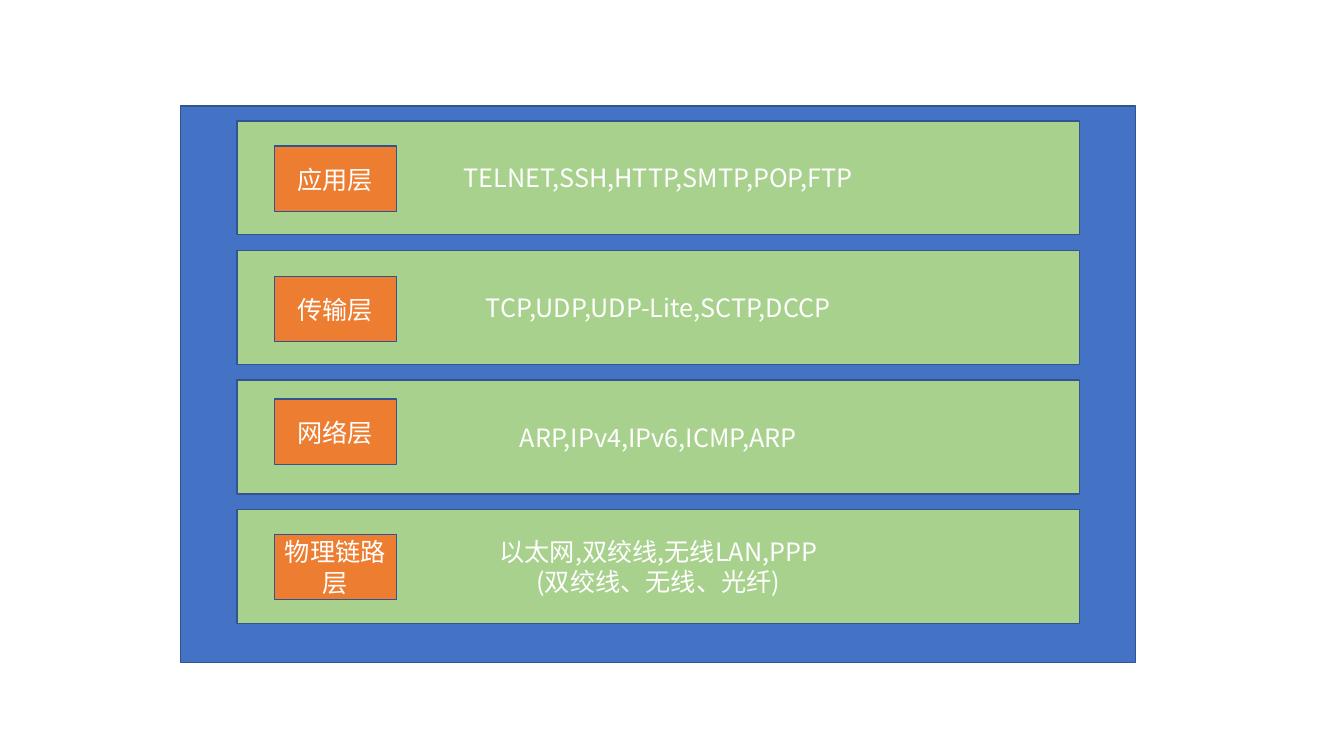
from pptx import Presentation
from pptx.dml.color import RGBColor
from pptx.enum.shapes import MSO_SHAPE as Shape
from pptx.enum.text import MSO_ANCHOR as Anchor, PP_ALIGN as Align
from pptx.oxml.ns import qn
from pptx.util import Inches, Pt
from lxml.etree import SubElement

FONT = "Noto Sans CJK SC"


def color(value):
    return RGBColor.from_string(value)


def add_box(left, top, width, height, fill, lines=()):
    box = slide.shapes.add_shape(
        Shape.RECTANGLE, Inches(left), Inches(top), Inches(width), Inches(height))
    box.shadow.inherit = False
    box.fill.solid()
    box.fill.fore_color.rgb = color(fill)
    box.line.color.rgb = color("325491")
    box.line.width = Pt(1)
    frame = box.text_frame
    frame.vertical_anchor = Anchor.MIDDLE
    frame.word_wrap = True
    for index, line in enumerate(lines):
        paragraph = frame.add_paragraph() if index else frame.paragraphs[0]
        paragraph.text = line
        paragraph.alignment = Align.CENTER
        paragraph.font.size = Pt(18)
        paragraph.font.name = FONT
        paragraph.font.color.rgb = color("FFFFFF")
        defaults = paragraph._p.pPr.find(qn("a:defRPr"))
        SubElement(defaults, qn("a:ea")).set("typeface", FONT)


prs = Presentation()
prs.slide_width = Inches(13.33)
prs.slide_height = Inches(7.5)
slide = prs.slides.add_slide(prs.slide_layouts[6])

layers = [
    ("应用层", 1.45, ["TELNET,SSH,HTTP,SMTP,POP,FTP"]),
    ("传输层", 2.74, ["TCP,UDP,UDP-Lite,SCTP,DCCP"]),
    ("网络层", 3.96, ["ARP,IPv4,IPv6,ICMP,ARP"]),
    ("物理链路层", 5.3, ["以太网,双绞线,无线LAN,PPP", "(双绞线、无线、光纤)"]),
]
first_top = 1.2
layer_pitch = 1.285

add_box(1.79, 1.05, 9.47, 5.52, "4472C4")
for row, (layer, label_top, protocols) in enumerate(layers):
    add_box(2.35, first_top + row * layer_pitch, 8.36, 1.13, "A9D18E", protocols)
    add_box(2.72, label_top, 1.21, 0.65, "ED7D31", [layer])

prs.save("out.pptx")
